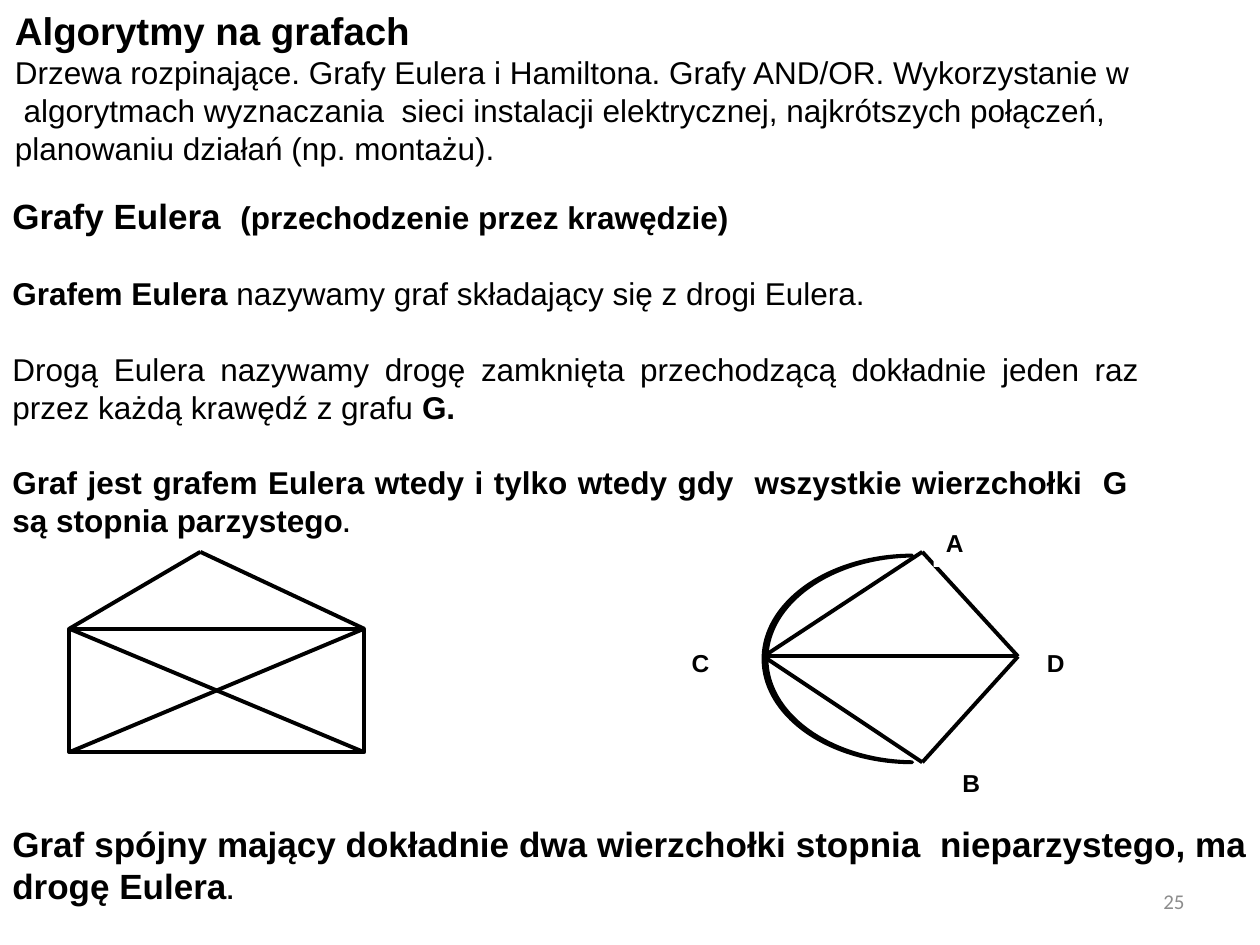
from pptx import Presentation
from pptx.util import Inches, Pt
from pptx.dml.color import RGBColor
from pptx.enum.shapes import MSO_SHAPE, MSO_CONNECTOR
from pptx.enum.text import PP_ALIGN, MSO_ANCHOR
from pptx.oxml.ns import qn
from lxml.etree import SubElement

THEME = dict(ink="000000", paper="FFFFFF", grey="8C8C8C", font="Arial", foot="Calibri",
             title=22, head=20, body=18, small=14, page=12, gap=21.5, line=2.25)
WIDE, HIGH = 10, 7.5

TITLE = [
    [("Algorytmy na grafach", "title", True)],
    [("Drzewa rozpinające. Grafy Eulera i Hamiltona. Grafy AND/OR. Wykorzystanie w", "body", False)],
    [(" algorytmach wyznaczania  sieci instalacji elektrycznej, najkrótszych połączeń, ", "body", False)],
    [("planowaniu działań (np. montażu). ", "body", False)],
]
BODY = [
    [("Grafy Eulera  ", "head", True), ("(przechodzenie przez krawędzie)", "body", True)],
    [("Grafem Eulera ", "body", True),
     ("nazywamy graf składający się z drogi Eulera. ", "body", False)],
    [("Drogą Eulera nazywamy drogę zamknięta przechodzącą dokładnie jeden raz "
      "przez każdą krawędź z grafu ", "body", False), ("G.", "body", True)],
    [("Graf jest grafem Eulera wtedy i tylko wtedy gdy  wszystkie wierzchołki  G  "
      "są stopnia parzystego", "body", True), (".", "small", True)],
]
CLOSE = [[("Graf spójny mający dokładnie dwa wierzchołki stopnia  nieparzystego, ma drogę Eulera",
           "head", True), (".", "small", True)]]
PAGE = [[("25", "page", False)]]

HOUSE = dict(top=(1.59, 4.38), nw=(0.55, 4.99), ne=(2.89, 4.99), sw=(0.55, 5.97), se=(2.89, 5.97))
ROOF = ["top nw", "top ne", "nw ne"]
CROSS = ["nw se", "ne sw"]
GRAPH = dict(A=(7.32, 4.38), B=(7.32, 6.05), C=(6.06, 5.21), D=(8.08, 5.21))
EDGES = ["C D", "A C", "A D", "C B", "D B"]
LABELS = [("A", 7.41, 4.14, 0.54), ("D", 8.21, 5.09, 0.54),
          ("C", 5.39, 5.09, 0.54), ("B", 7.54, 6.05, 0.4)]

deck = Presentation()
deck.slide_width, deck.slide_height = Inches(WIDE), Inches(HIGH)
slide = deck.slides.add_slide(deck.slide_layouts[6])
shapes = slide.shapes


def tint(name):
    return RGBColor.from_string(THEME[name])


def write(paras, box, align=PP_ALIGN.JUSTIFY, anchor=MSO_ANCHOR.MIDDLE,
          font="font", ink="ink", gap=0, wrap=True, fill=None):
    item = shapes.add_textbox(*map(Inches, box))
    if fill:
        item.fill.solid()
        item.fill.fore_color.rgb = tint(fill)
    frame = item.text_frame
    frame.word_wrap, frame.vertical_anchor = wrap, anchor
    for i, runs in enumerate(paras):
        para = frame.paragraphs[0] if i == 0 else frame.add_paragraph()
        para.alignment = align
        if i and gap:
            para.space_before = Pt(gap)
        for text, size, bold in runs:
            run = para.add_run()
            run.text = text
            run.font.name, run.font.size = THEME[font], Pt(THEME[size])
            run.font.bold, run.font.color.rgb = bold, tint(ink)


def stroke(item):
    item.line.color.rgb = tint("ink")
    item.line.width = Pt(THEME["line"])


def join(nodes, edges):
    for edge in edges:
        start, end = (nodes[name] for name in edge.split())
        line = shapes.add_connector(MSO_CONNECTOR.STRAIGHT, *map(Inches, start + end))
        stroke(line)
        SubElement(line._element.spPr, qn("a:effectLst"))


def draw(kind, box):
    item = shapes.add_shape(kind, *map(Inches, box))
    item.shadow.inherit = False
    item.fill.solid()
    item.fill.fore_color.rgb = tint("paper")
    stroke(item)
    return item


write(BODY, (0, 1.48, 9.14, 2.86), gap=THEME["gap"])

join(HOUSE, ROOF)
left, top = HOUSE["nw"]
right, base = HOUSE["se"]
draw(MSO_SHAPE.RECTANGLE, (left, top, right - left, base - top))
join(HOUSE, CROSS)

join(GRAPH, EDGES)
moon = draw(MSO_SHAPE.MOON, (6.06, 4.41, 1.18, 1.64))
moon.adjustments[0] = 0.02
for name, x, y, width in LABELS:
    write([[(name, "small", True)]], (x, y, width, 0.36), align=PP_ALIGN.LEFT,
          anchor=MSO_ANCHOR.TOP, fill="paper")

write(CLOSE, (0, 6.48, WIDE, 0.77))
write(PAGE, (7.17, 6.95, 2.33, 0.4), align=PP_ALIGN.RIGHT, font="foot", ink="grey")
write(TITLE, (0.02, 0, 9.14, 1.38), wrap=False, align=PP_ALIGN.LEFT)

deck.save("out.pptx")
